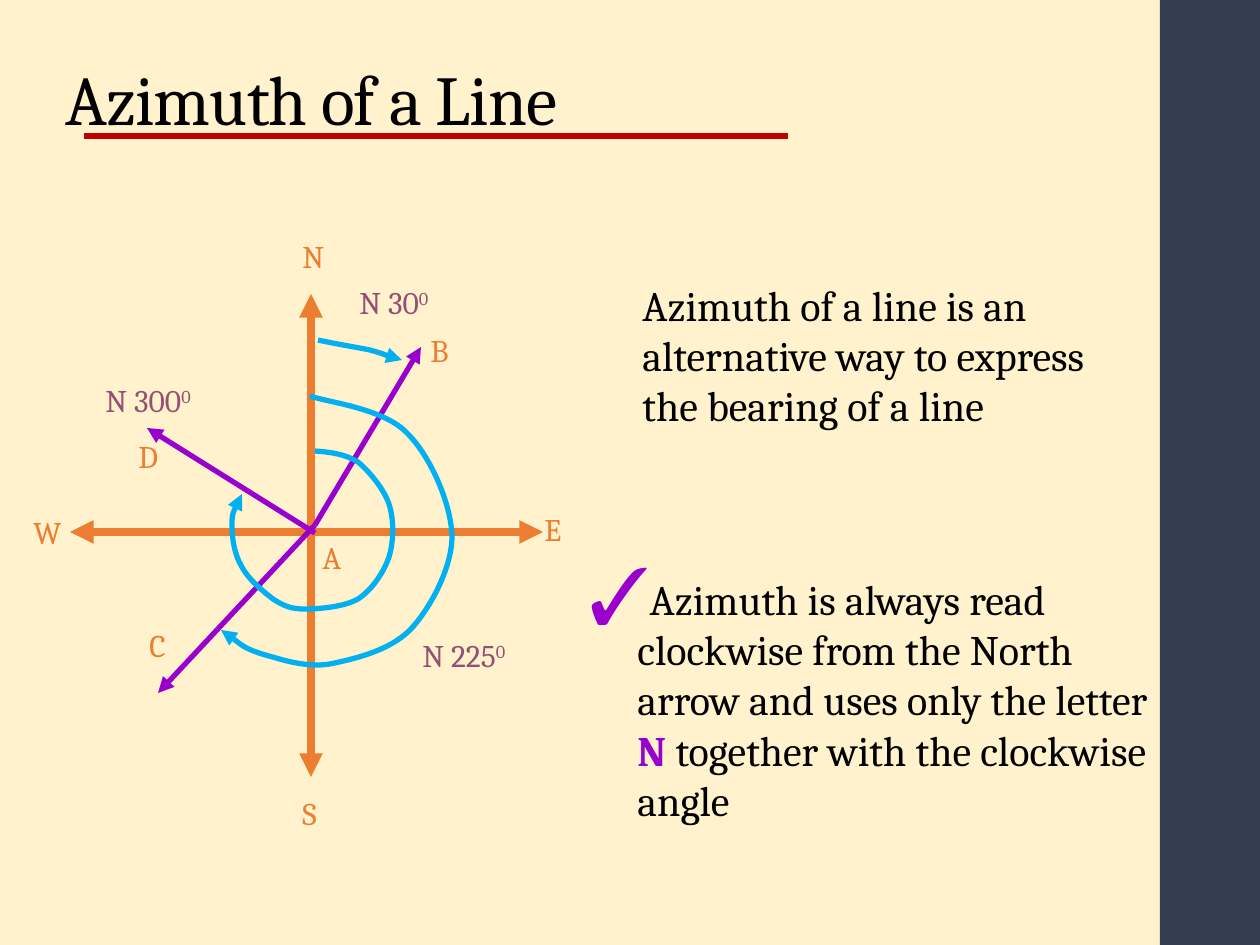
from dataclasses import dataclass

from lxml import etree
from pptx import Presentation
from pptx.dml.color import RGBColor
from pptx.enum.shapes import MSO_CONNECTOR, MSO_SHAPE
from pptx.enum.text import MSO_ANCHOR, MSO_AUTO_SIZE
from pptx.oxml.ns import qn
from pptx.util import Emu, Pt

STRAIGHT = MSO_CONNECTOR.STRAIGHT
RECT = MSO_SHAPE.RECTANGLE
BOTTOM = MSO_ANCHOR.BOTTOM
GROW = MSO_AUTO_SIZE.SHAPE_TO_FIT_TEXT
FIXED = MSO_AUTO_SIZE.NONE
SCALE = 914400 / 126


@dataclass(frozen=True)
class Theme:
    font: str = "Cambria"
    background: str = "FFF2CC"
    sidebar: str = "333F50"
    rule: str = "C00000"
    axis: str = "ED7D31"
    ray: str = "9900CC"
    arc: str = "00B0F0"
    angle: str = "954F72"
    text: str = "000000"
    title_size: int = 40
    body_size: int = 24
    label_size: int = 18
    axis_width: float = 4.5
    line_width: float = 3


THEME = Theme()


def px(n):
    return Emu(round(n * SCALE))


def rgb(value):
    return RGBColor.from_string(value)


def add_box(shapes, box, wrap=True, fit=GROW):
    tf = shapes.add_textbox(*map(px, box)).text_frame
    tf.word_wrap = wrap
    tf.auto_size = fit
    return tf


def add_run(p, text, size, color, bold=False):
    r = p.add_run()
    r.text = text
    r.font.name = THEME.font
    r.font.size = Pt(size)
    r.font.bold = bold
    r.font.color.rgb = rgb(color)
    return r


def style_line(sp, color, width, ends=()):
    sp.line.color.rgb = rgb(color)
    sp.line.width = Pt(width)
    ln = sp.line._get_or_add_ln()
    for end in ends:
        etree.SubElement(ln, qn(f"a:{end}"), type="triangle")


def add_line(shapes, start, end, color, width, ends=()):
    sp = shapes.add_connector(STRAIGHT, *map(px, (*start, *end)))
    style_line(sp, color, width, ends)
    etree.SubElement(sp._element.spPr, qn("a:effectLst"))


def add_curve(shapes, origin, points):
    builder = shapes.build_freeform(*points[0], scale=SCALE)
    builder.add_line_segments(points[1:], close=False)
    sp = builder.convert_to_shape(*map(px, origin))
    segments = list(sp._element.iter(qn("a:lnTo")))
    for i in range(0, len(segments), 3):
        curve = etree.Element(qn("a:cubicBezTo"))
        segments[i].addprevious(curve)
        for segment in segments[i:i + 3]:
            curve.append(segment[0])
            segment.getparent().remove(segment)
    sp.fill.background()
    sp.shadow.inherit = False
    style_line(sp, THEME.arc, THEME.line_width, ["tailEnd"])


def add_label(shapes, x, y, text, color, width=48, power=""):
    p = add_box(shapes, (x, y, width, 50), wrap=False).paragraphs[0]
    add_run(p, text, THEME.label_size, color)
    if power:
        r = add_run(p, power, THEME.label_size, color)
        r.font._element.set("baseline", "30000")


def add_sidebar(s, box):
    sp = s.shapes.add_shape(RECT, *map(px, box))
    sp.fill.solid()
    sp.fill.fore_color.rgb = rgb(THEME.sidebar)
    sp.line.fill.background()
    sp.shadow.inherit = False


def add_title(s, box, text):
    x, y = box[:2]
    add_line(s.shapes, (x + 31, y + 83), (x + 735, y + 83), THEME.rule, THEME.line_width)
    tf = add_box(s.shapes, box, fit=FIXED)
    tf.vertical_anchor = BOTTOM
    p = tf.paragraphs[0]
    p.line_spacing = 0.9
    r = add_run(p, text, THEME.title_size, THEME.text)
    r.font._element.set("spc", "-50")


def add_axes(s, box):
    x, y, w, h = box
    cx, cy = x + 241, y + 238
    for start, end in [((x, cy), (x + w, cy)), ((cx, y), (cx, y + h))]:
        add_line(s.shapes, start, end, THEME.axis, THEME.axis_width, ["headEnd", "tailEnd"])
    labels = [("W", -49, 213), ("N", 220, -63), ("E", 462, 210),
              ("S", 220, 494), ("A", 240, 238)]
    for text, dx, dy in labels:
        add_label(s.shapes, x + dx, y + dy, text, THEME.axis)


def add_bearing(s, box, name, name_at, angle, angle_at, angle_width, start, tip, arc):
    x, y = box[:2]
    shapes = s.shapes.add_group_shape().shapes
    add_label(shapes, x + name_at[0], y + name_at[1], name, THEME.axis)
    add_curve(shapes, (x, y), arc)
    add_label(shapes, x + angle_at[0], y + angle_at[1], angle, THEME.angle, angle_width, "0")
    add_line(shapes, (x + start[0], y + start[1]), (x + tip[0], y + tip[1]),
             THEME.ray, THEME.line_width, ["tailEnd"])


def add_definition(s, box, text):
    p = add_box(s.shapes, box).paragraphs[0]
    add_run(p, text, THEME.body_size, THEME.text)


def add_check_item(s, box, runs):
    p = add_box(s.shapes, box).paragraphs[0]
    pPr = p._p.get_or_add_pPr()
    pPr.set("marL", str(px(48)))
    pPr.set("indent", str(-px(48)))
    color = etree.SubElement(pPr, qn("a:buClr"))
    etree.SubElement(color, qn("a:srgbClr"), val=THEME.ray)
    etree.SubElement(pPr, qn("a:buSzPct"), val="190000")
    etree.SubElement(pPr, qn("a:buFont"), typeface=THEME.font)
    etree.SubElement(pPr, qn("a:buChar"), char="✓")
    for text, color, bold in runs:
        add_run(p, text, THEME.body_size, color, bold)


BEARINGS = [
    ("B", (348, 31), "N 30", (277, -17), 103, (245, 231), (351, 53),
     [(248, 46), (266, 50), (285, 53), (300, 56), (314, 60), (323, 64), (332, 66)]),
    ("C", (67, 326), "N 225", (340, 336), 122, (245, 231), (88, 399),
     [(240, 102), (256, 108), (312, 114), (336, 138), (360, 161), (381, 209),
      (382, 242), (382, 274), (360, 315), (340, 336), (319, 357), (284, 365),
      (260, 370), (235, 374), (210, 365), (192, 360), (173, 354), (159, 341),
      (151, 336)]),
    ("D", (56, 137), "N 300", (23, 81), 122, (245, 239), (77, 134),
     [(245, 157), (260, 158), (275, 160), (288, 168), (299, 177), (314, 195),
      (319, 210), (324, 225), (324, 247), (319, 263), (314, 278), (302, 296),
      (288, 305), (274, 313), (249, 315), (235, 315), (221, 315), (214, 312),
      (203, 305), (193, 297), (179, 286), (172, 273), (164, 260), (162, 243),
      (162, 231), (162, 219), (167, 209), (172, 200)]),
]


def main():
    prs = Presentation()
    prs.slide_width, prs.slide_height = px(1260), px(945)
    s = prs.slides.add_slide(prs.slide_layouts[6])
    s.background.fill.solid()
    s.background.fill.fore_color.rgb = rgb(THEME.background)
    add_sidebar(s, (1160, 0, 100, 945))
    add_title(s, (53, 53, 1134, 94), "Azimuth of a Line")
    compass = (70, 294, 473, 483)
    add_axes(s, compass)
    add_definition(s, (630, 273, 504, 165),
                   "Azimuth of a line is an alternative way to express the bearing of a line")
    add_check_item(s, (577, 567, 599, 267), [
        ("Azimuth is always read clockwise from the North arrow and uses only the letter ",
         THEME.text, False),
        ("N", THEME.ray, True),
        (" together with the clockwise angle", THEME.text, False),
    ])
    for bearing in BEARINGS:
        add_bearing(s, compass, *bearing)
    prs.save("out.pptx")


if __name__ == "__main__":
    main()
